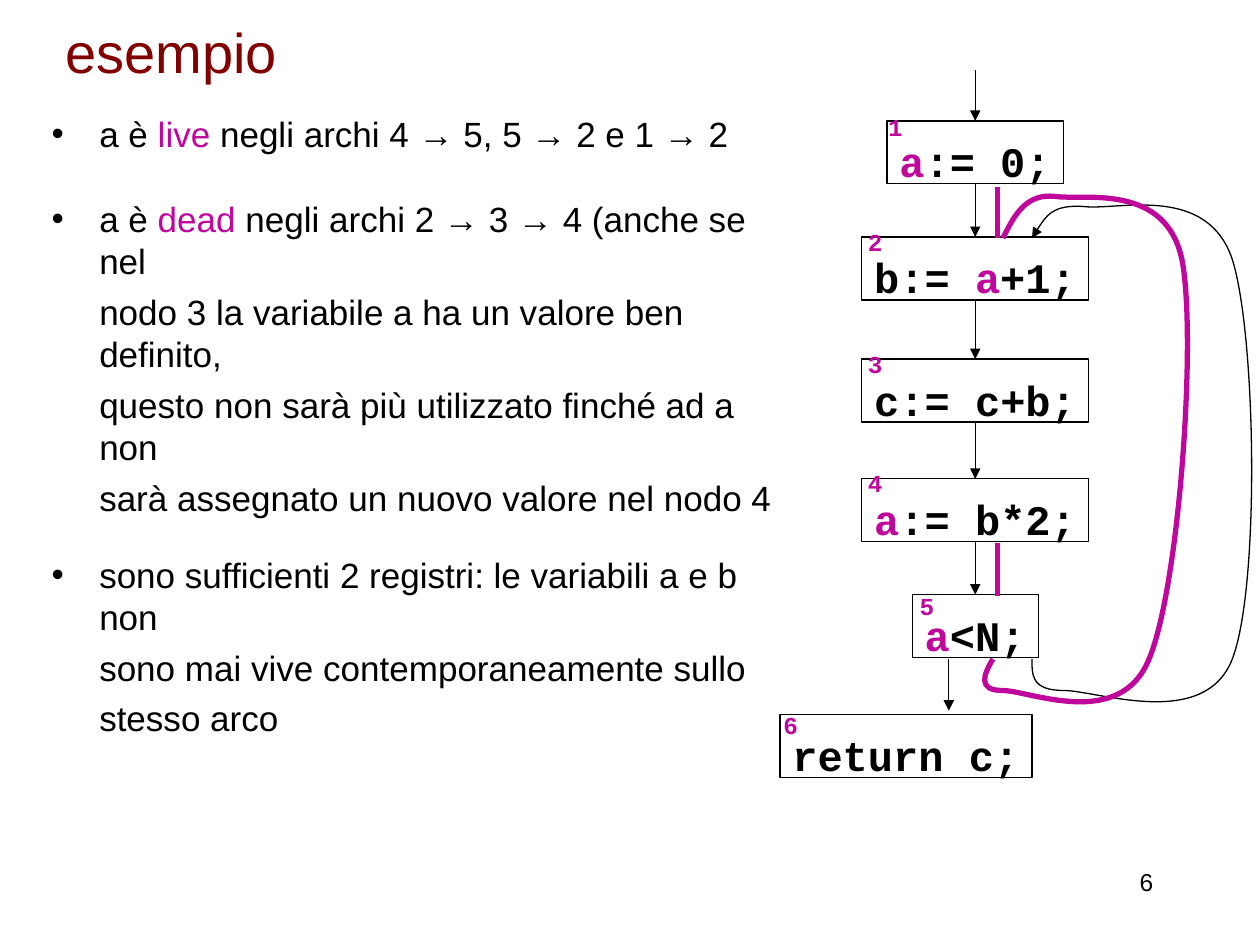
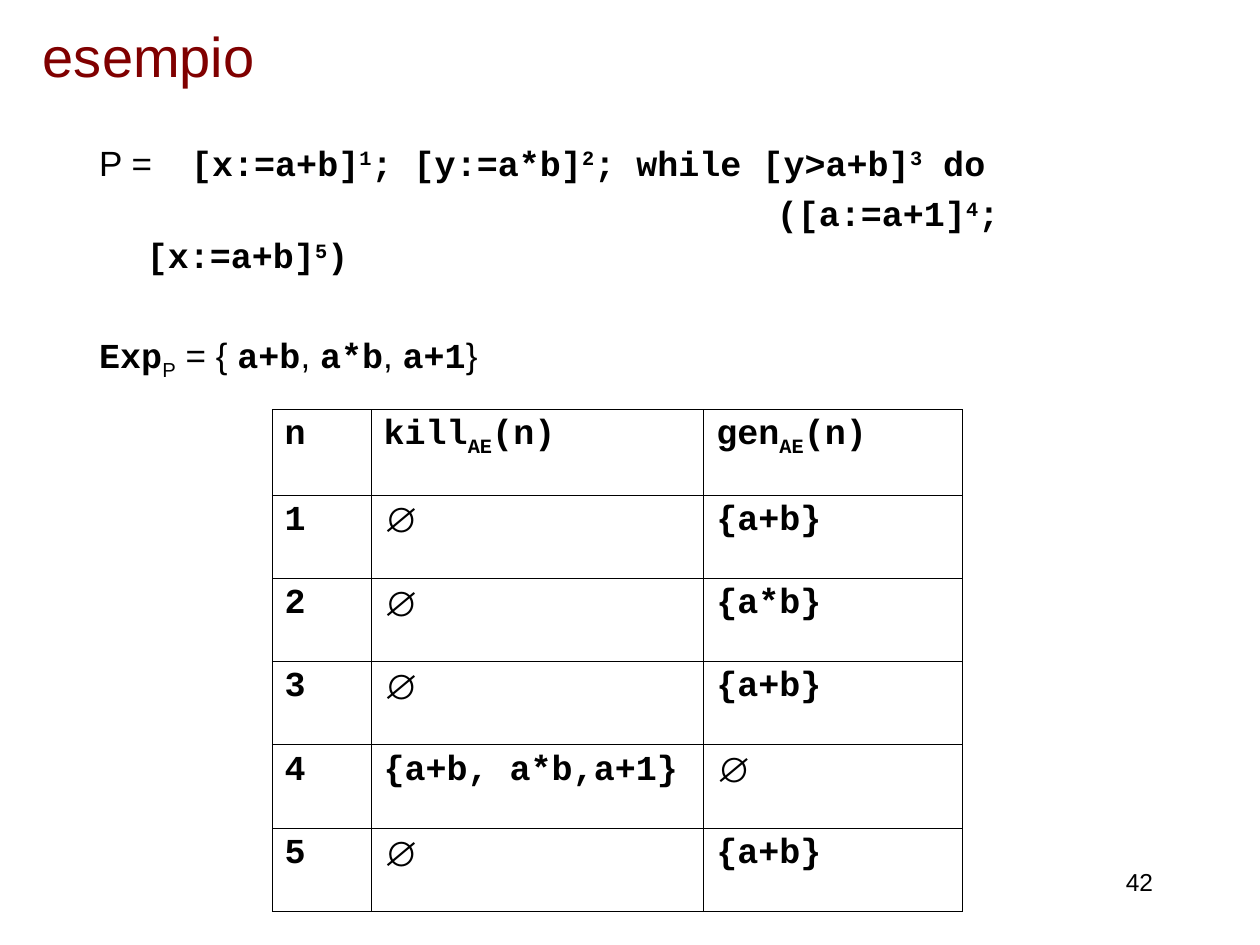
"""Build two slides on live variables and available expressions."""
from itertools import pairwise

from lxml.etree import SubElement
from pptx import Presentation
from pptx.dml.color import RGBColor
from pptx.enum.shapes import MSO_CONNECTOR, MSO_SHAPE
from pptx.enum.text import MSO_ANCHOR, MSO_AUTO_SIZE, PP_ALIGN
from pptx.oxml.ns import qn
from pptx.util import Pt

BLACK = RGBColor(0, 0, 0)
MAROON = RGBColor(0x80, 0, 0)
MAGENTA = RGBColor(0xBF, 0x07, 0x9C)
SANS, MONO = "Arial", "Courier New"

HOT = {"color": MAGENTA}
CODE = {"font": MONO, "bold": True}
SUP = {**CODE, "baseline": 30000}
SUB = {"baseline": -25000}
EMPTY_SET = [("∅", {"font": SANS})]
WIDE_SPACE = (" ", {"spacing": 1670})

HANG = 27.2
TITLE = "esempio"
LIVENESS = [
    (True, 5, 20, ["a è ", ("live", HOT), " negli archi 4 → 5, 5 → 2 e 1 → 2"]),
    (True, 5, 0, ["a è ", ("dead", HOT), " negli archi 2 → 3 → 4 (anche se nel"]),
    (False, 5, 0, ["nodo 3 la variabile a ha un valore ben definito,"]),
    (False, 5, 0, ["questo non sarà più utilizzato finché ad a non"]),
    (False, 5, 0, ["sarà assegnato un nuovo valore nel nodo 4"]),
    (True, 20, 0, ["sono sufficienti 2 registri: le variabili a e b non"]),
    (False, 5, 0, ["sono mai vive contemporaneamente sullo"]),
    (False, 5, 0, ["stesso arco"]),
]

FLOW_X, RETURN_X, EXIT_X, LIVE_X = 557.3, 517.7, 542.2, 570.2
NODES = [
    (FLOW_X, 69.1, (500.4, 52.6), [("a", HOT), ":= 0;"]),
    (FLOW_X, 135.4, (488.9, 118.1), ["b:= ", ("a", HOT), "+1;"]),
    (FLOW_X, 205.2, (488.9, 187.9), ["c:= c+b;"]),
    (FLOW_X, 273.6, (488.9, 256.3), [("a", HOT), ":= b*2;"]),
    (FLOW_X, 339.8, (518.4, 326.2), [("a", HOT), "<N;"]),
    (RETURN_X, 408.2, (440.6, 394.6), ["return c;"]),
]
NODE_HEIGHT, CHAR_WIDTH, INSET = 36, 14.4, 7.2
LIVE_EDGES = [(106.6, 136.1), (310.3, 340.6)]
LOOP = [(589.7, 376.6), (589.7, 385.2), (589, 394.6), (607.7, 394.6),
        (627.1, 394.6), (688.3, 417.6), (704.2, 376.6),
        (720, 335.5), (717.8, 191.5), (704.2, 148.3),
        (689.8, 105.1), (639.4, 120.2), (619.9, 118.1),
        (601.2, 116.6), (595.4, 126.7), (589.7, 136.1)]
LIVE_LOOP = [(567.4, 376.6), (562.3, 385.2), (558, 394.6), (573.1, 394.6),
             (588.2, 394.6), (640.1, 417.6), (656.6, 376.6),
             (673.9, 335.5), (684, 192.2), (675.4, 148.3),
             (666, 104.4), (619.9, 114.5), (603.4, 112.3),
             (586.1, 110.2), (579.6, 123.1), (573.1, 136.1)]

PROGRAM = [
    (-HANG, 5, ["P =", WIDE_SPACE, ("[x:=a+b]", CODE), ("1", SUP),
                ("; [y:=a*b]", CODE), ("2", SUP),
                ("; while [y>a+b]", CODE), ("3", SUP), (" do", CODE)]),
    (360, 5, [("([a:=a+1]", CODE), ("4", SUP), ("; [x:=a+b]", CODE),
              ("5", SUP), (")", CODE)]),
    (-HANG, 33, [("Exp", CODE), ("P", SUB), " = { ", ("a+b", CODE), ", ",
                 ("a*b", CODE), ", ", ("a+1", CODE), "}"]),
]
KILL_GEN = [
    (["n"], ["kill", ("AE", SUB), "(n)"], ["gen", ("AE", SUB), "(n)"]),
    (["1"], EMPTY_SET, ["{a+b}"]),
    (["2"], EMPTY_SET, ["{a*b}"]),
    (["3"], EMPTY_SET, ["{a+b}"]),
    (["4"], ["{a+b, a*b,a+1}"], EMPTY_SET),
    (["5"], EMPTY_SET, ["{a+b}"]),
]
COLUMN_WIDTHS = [56.5, 190.1, 147.6]
HEADER_HEIGHT, ROW_HEIGHT = 48.8, 47.6


def points(*lengths):
    """Convert numbers to point lengths."""
    return [Pt(length) for length in lengths]


def write(paragraph, parts, **base):
    """Add styled runs; a part is a string or a (string, style) pair."""
    for part in parts:
        text, own = (part, {}) if isinstance(part, str) else part
        style = {"font": SANS, "size": 20, "color": BLACK, "bold": False, **base, **own}
        run = paragraph.add_run()
        run.text = text
        run.font.name = style["font"]
        run.font.size = Pt(style["size"])
        run.font.bold = style["bold"]
        run.font.color.rgb = style["color"]
        for key, attribute in (("baseline", "baseline"), ("spacing", "spc")):
            if key in style:
                run.font._element.set(attribute, str(style[key]))


def place(shape, box):
    """Move and size a placeholder and give its text frame."""
    shape.left, shape.top, shape.width, shape.height = points(*box)
    shape.text_frame.auto_size = MSO_AUTO_SIZE.NONE
    return shape.text_frame


def start_slide(deck, title_box, anchor, number):
    """Add a slide with its title and page number."""
    slide = deck.slides.add_slide(deck.slide_layouts[1])
    heading = place(slide.shapes.title, title_box)
    heading.vertical_anchor = anchor
    heading.paragraphs[0].alignment = PP_ALIGN.LEFT
    write(heading.paragraphs[0], [TITLE], size=32, color=MAROON)
    page = slide.shapes.add_textbox(*points(516.2, 491.8, 149.8, 36)).text_frame
    page.word_wrap = True
    page.paragraphs[0].alignment = PP_ALIGN.RIGHT
    write(page.paragraphs[0], [number], size=14)
    return slide


def add_line(frame, position, margin, indent, before, after, parts, bulleted=False):
    """Write one body paragraph with its indents and spacing."""
    paragraph = frame.add_paragraph() if position else frame.paragraphs[0]
    paragraph.space_before, paragraph.space_after = points(before, after)
    properties = paragraph._p.get_or_add_pPr()
    properties.set("marL", str(Pt(margin)))
    properties.set("indent", str(Pt(indent)))
    if bulleted:
        SubElement(properties, qn("a:buFont")).set("typeface", SANS)
        SubElement(properties, qn("a:buChar")).set("char", "•")
    else:
        SubElement(properties, qn("a:buNone"))
    write(paragraph, parts)


def paint_line(shape, color, width, arrow):
    """Colour an outline and add its arrowhead."""
    shape.line.color.rgb = color
    shape.line.width = Pt(width)
    if arrow:
        outline = shape._element.spPr.find(qn("a:ln"))
        SubElement(outline, qn("a:tailEnd")).set("type", "triangle")


def add_edge(slide, x, top, bottom, color=BLACK, width=0.75, arrow=True):
    """Draw a vertical edge of the flow graph."""
    edge = slide.shapes.add_connector(MSO_CONNECTOR.STRAIGHT, *points(x, top, x, bottom))
    paint_line(edge, color, width, arrow)
    SubElement(edge._element.spPr, qn("a:effectLst"))
    return edge


def add_curve(slide, controls, color, width, arrow):
    """Draw a chain of cubic curves through its control points."""
    start, *rest = [points(*control) for control in controls]
    builder = slide.shapes.build_freeform(*start)
    builder.add_line_segments(rest, close=False)
    curve = builder.convert_to_shape()
    curve.shadow.inherit = False
    curve.fill.background()
    paint_line(curve, color, width, arrow)
    outline = curve._element.find(".//" + qn("a:path"))
    steps = outline.findall(qn("a:lnTo"))
    for first in range(0, len(steps), 3):
        cubic = SubElement(outline, qn("a:cubicBezTo"))
        for step in steps[first:first + 3]:
            cubic.append(step[0])
            outline.remove(step)


def set_code_frame(shape, wrap):
    """Prepare a flow graph text frame and give its paragraph."""
    frame = shape.text_frame
    frame.word_wrap = wrap
    frame.vertical_anchor = MSO_ANCHOR.TOP
    frame.margin_top, frame.margin_bottom = points(8.6, 0)
    frame.paragraphs[0].alignment = PP_ALIGN.LEFT
    return frame.paragraphs[0]


def add_node(slide, center, top, parts):
    """Draw a statement box as wide as its code."""
    length = sum(len(part if isinstance(part, str) else part[0]) for part in parts)
    width = length * CHAR_WIDTH + 2 * INSET
    node = slide.shapes.add_shape(
        MSO_SHAPE.RECTANGLE, *points(center - width / 2, top, width, NODE_HEIGHT))
    node.shadow.inherit = False
    node.fill.background()
    paint_line(node, BLACK, 0.75, False)
    write(set_code_frame(node, False), parts, **CODE, size=24)
    return node


def build_liveness(deck):
    """Build the slide with the flow graph."""
    slide = start_slide(deck, (30.2, 6.5, 318.2, 45.4), MSO_ANCHOR.BOTTOM, "6")
    body = place(slide.placeholders[1], (22.3, 60.5, 430.6, 468))
    for position, (bulleted, before, after, parts) in enumerate(LIVENESS):
        indent = -HANG if bulleted else 0
        add_line(body, position, HANG, indent, before, after, parts, bulleted)

    nodes = [add_node(slide, center, top, parts) for center, top, _, parts in NODES]
    for number, (_, _, corner, _) in enumerate(NODES, 1):
        label = slide.shapes.add_textbox(*points(*corner, 24, NODE_HEIGHT))
        write(set_code_frame(label, True), [str(number)], **SUP, **HOT, size=24)

    entry = add_edge(slide, FLOW_X, 40.3, NODES[0][1])
    entry.end_connect(nodes[0], 0)
    for upper, lower in pairwise(nodes[:-1]):
        edge = add_edge(slide, FLOW_X, 0, 1)
        edge.begin_connect(upper, 2)
        edge.end_connect(lower, 0)
    add_edge(slide, EXIT_X, 376.6, 406.1)
    add_curve(slide, LOOP, BLACK, 0.75, True)
    for top, bottom in LIVE_EDGES:
        add_edge(slide, LIVE_X, top, bottom, MAGENTA, 3, False)
    add_curve(slide, LIVE_LOOP, MAGENTA, 3, False)


def add_borders(cell):
    """Draw thin black borders around a cell."""
    properties = cell._tc.get_or_add_tcPr()
    for position, side in enumerate(("lnL", "lnR", "lnT", "lnB")):
        border = SubElement(properties, qn("a:" + side), w=str(Pt(0.45)))
        properties.insert(position, border)
        fill = SubElement(border, qn("a:solidFill"))
        SubElement(fill, qn("a:srgbClr")).set("val", str(BLACK))


def build_expressions(deck):
    """Build the slide with the kill and gen table."""
    slide = start_slide(deck, (17.3, 3.6, 612, 56.2), MSO_ANCHOR.MIDDLE, "42")
    body = place(slide.placeholders[1], (22.3, 77, 642.2, 324))
    for position, (indent, before, parts) in enumerate(PROGRAM):
        add_line(body, position, 2 * HANG, indent, before, 0, parts)

    heights = [HEADER_HEIGHT] + [ROW_HEIGHT] * (len(KILL_GEN) - 1)
    table = slide.shapes.add_table(
        len(heights), len(COLUMN_WIDTHS),
        *points(155.5, 234, sum(COLUMN_WIDTHS), sum(heights))).table
    table.first_row = table.horz_banding = False
    for column, width in zip(table.columns, COLUMN_WIDTHS):
        column.width = Pt(width)
    for row, height, entries in zip(table.rows, heights, KILL_GEN):
        row.height = Pt(height)
        for cell, parts in zip(row.cells, entries):
            cell.fill.background()
            add_borders(cell)
            write(cell.text_frame.paragraphs[0], parts, **CODE)


def main():
    """Build and save the deck."""
    deck = Presentation()
    deck.slide_width, deck.slide_height = points(720, 540)
    build_liveness(deck)
    build_expressions(deck)
    deck.save("out.pptx")


if __name__ == "__main__":
    main()
